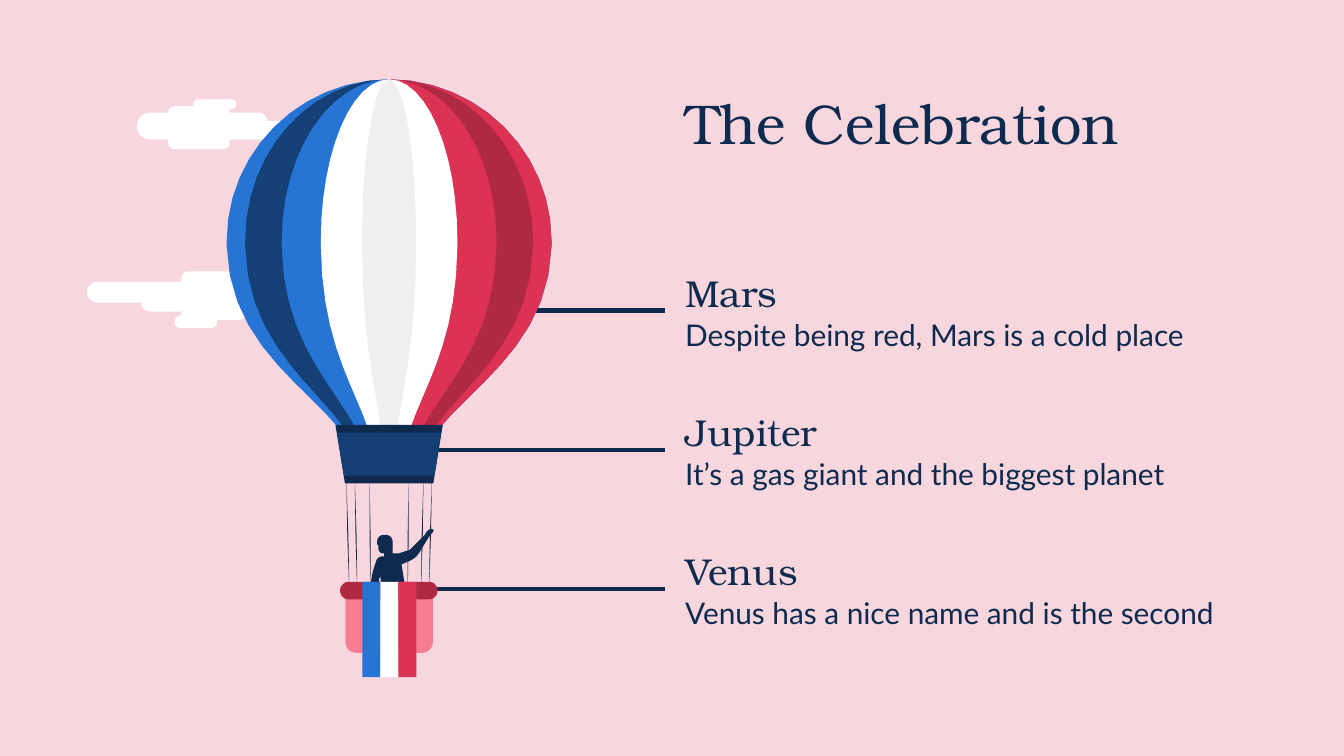
"""Build a slide with a hot-air balloon and three planets."""
import math

import lxml.etree
import pptx
import pptx.dml.color
import pptx.enum.shapes
import pptx.enum.text
import pptx.oxml.ns
import pptx.util

Cm = pptx.util.Cm
HUES = {
    "pink": "F7D6DD", "ink": "0E2B4F", "navy": "154075", "blue": "2674D4",
    "white": "FFFFFF", "grey": "EFEFEF", "red": "DC3354", "wine": "B02943",
    "rose": "F77C94",
}
SERIF, SANS = "TeX Gyre Bonum", "Lato"
AXIS = 7.355
ROWS = [
    ("Mars", "Despite being red, Mars is a cold place"),
    ("Jupiter", "It’s a gas giant and the biggest planet"),
    ("Venus", "Venus has a nice name and is the second"),
]
CLOUDS = [
    [(3.66, 1.88, .08), (3.66, 2.01, 0), (3.18, 2.01, .12), (3.18, 2.13, 0),
     (2.59, 2.13, .25), (2.59, 2.64, .25), (3.18, 2.64, 0), (3.18, 2.82, .12),
     (4.34, 2.82, .12), (4.34, 2.64, 0), (6.05, 2.64, .17), (6.05, 2.29, .17),
     (5.05, 2.29, 0), (5.05, 2.13, .16), (4.34, 2.13, 0), (4.34, 2.06, 0),
     (4.47, 2.06, .09), (4.47, 1.88, .09)],
    [(3.43, 5.13, .12), (3.43, 5.33, 0), (1.65, 5.33, .19), (1.65, 5.72, .19),
     (2.67, 5.72, 0), (2.67, 5.89, .17), (3.43, 5.89, 0), (3.43, 5.97, 0),
     (3.3, 5.97, .11), (3.3, 6.2, .11), (4.11, 6.2, .11), (4.11, 6.05, 0),
     (4.65, 6.05, .14), (4.65, 5.89, 0), (5.23, 5.89, .27), (5.23, 5.33, .27),
     (4.62, 5.33, 0), (4.62, 5.13, .12)],
]
HAND = [(8.03, 10.11, 0), (8.1, 10, .06), (8.23, 10, .08), (8.1, 10.16, 0)]
BODY = [
    (8.03, 10.11, 0), (7.75, 10.39, 0), (7.54, 10.46, 0), (7.42, 10.46, 0),
    (7.42, 10.16, .14), (7.14, 10.16, .1), (7.16, 10.46, .08), (7.26, 10.46, 0),
    (7.26, 10.52, 0), (7.14, 10.52, .08), (7.04, 10.82, .1), (7.01, 11.02, 0),
    (7.09, 11.2, 0), (7.19, 11.2, 0), (7.16, 10.95, 0), (7.19, 10.9, 0),
    (7.21, 11.1, 0), (7.65, 11.05, 0), (7.59, 10.67, 0), (7.82, 10.57, .08),
    (7.9, 10.49, .05), (8.1, 10.16, 0),
]
HAIR = [(7.13, 10.11, .12), (7.44, 10.11, .15), (7.4, 10.42, .05), (7.13, 10.29, 0)]
GORES = [
    (-3.07, 3.07, "blue"), (0, 3.07, "red"), (-2.72, -2.03, "navy"),
    (2.03, 2.72, "wine"), (-1.29, 1.29, "white"), (-0.51, 0.51, "grey"),
]


def curve(a, b, c, d, steps=12):
    """Return points along a cubic curve."""
    spots = []
    for i in range(steps + 1):
        t = i / steps
        parts = ((1 - t) ** 3, 3 * t * (1 - t) ** 2, 3 * t * t * (1 - t), t ** 3)
        spots.append(tuple(sum(w * p[k] for w, p in zip(parts, (a, b, c, d)))
                           for k in (0, 1)))
    return spots


def toward(a, b, step):
    """Return the point a given step from a toward b."""
    share = step / math.dist(a, b)
    return a[0] + (b[0] - a[0]) * share, a[1] + (b[1] - a[1]) * share


def bend(corners):
    """Return an outline whose corners are rounded by their radii."""
    spots = []
    for i, (x, y, r) in enumerate(corners):
        here, last = (x, y), corners[i - 1][:2]
        after = corners[(i + 1) % len(corners)][:2]
        if r:
            spots += curve(toward(here, last, r), toward(here, last, .45 * r),
                           toward(here, after, .45 * r), toward(here, after, r))
        else:
            spots.append(here)
    return spots


def seam(edge):
    """Return a seam from the crown to the neck, by its widest offset."""
    wide, neck = AXIS + edge, .17 * edge
    crown = curve((AXIS, 1.5), (AXIS + .55 * edge, 1.5), (wide, 2.87), (wide, 4.55))
    skirt = curve((wide, 4.65), (AXIS + .98 * edge, 7.04),
                  (AXIS + 1.14 * neck, 7.65), (AXIS + neck, 9.04))
    return crown + skirt


class Deck:
    """Hold the style and the current slide."""

    def __init__(self):
        """Start a deck with one title-only slide."""
        self.show = pptx.Presentation()
        self.show.slide_width, self.show.slide_height = Cm(25.4), Cm(14.29)
        self.slide = self.show.slides.add_slide(self.show.slide_layouts[5])
        self.shapes = self.slide.shapes
        self.paint(self.slide.background.fill, "pink")

    def hue(self, name):
        """Return a named colour."""
        return pptx.dml.color.RGBColor.from_string(HUES[name])

    def paint(self, fill, name):
        """Make a fill solid."""
        fill.solid()
        fill.fore_color.rgb = self.hue(name)

    def finish(self, shape, name):
        """Give a shape a flat fill."""
        shape.shadow.inherit = False
        shape.line.fill.background()
        self.paint(shape.fill, name)

    def label(self, box, words, top, height, font, size, anchor="TOP"):
        """Place and style a line of text."""
        box.left, box.top, box.width, box.height = Cm(12.7), Cm(top), Cm(10.7), Cm(height)
        frame = box.text_frame
        frame.text, frame.word_wrap = words, True
        frame.auto_size = pptx.enum.text.MSO_AUTO_SIZE.NONE
        frame.vertical_anchor = pptx.enum.text.MSO_ANCHOR[anchor]
        frame.margin_left = frame.margin_right = Cm(.25)
        frame.margin_top = frame.margin_bottom = Cm(.25)
        line = frame.paragraphs[0]
        line.alignment = pptx.enum.text.PP_ALIGN.LEFT
        line.font.name, line.font.size = font, pptx.util.Pt(size)
        line.font.color.rgb = self.hue("ink")

    def title(self, words):
        """Fill the title."""
        self.label(self.shapes.title, words, 1.5, 1.6, SERIF, 30, "MIDDLE")

    def text(self, words, top, height, font, size):
        """Add a text box."""
        box = self.shapes.add_textbox(0, 0, 0, 0)
        self.label(box, words, top, height, font, size)

    def rule(self, y):
        """Add a line that leads to a row."""
        line = self.shapes.add_connector(
            pptx.enum.shapes.MSO_CONNECTOR.STRAIGHT, Cm(7.6), Cm(y), Cm(12.57), Cm(y))
        line.line.color.rgb = self.hue("ink")
        line.line.width = pptx.util.Pt(2.25)
        lxml.etree.SubElement(line._element.spPr, pptx.oxml.ns.qn("a:effectLst"))

    def form(self, spots, name):
        """Add a filled outline."""
        ends = [(Cm(x), Cm(y)) for x, y in spots]
        build = self.shapes.build_freeform(*ends[0], scale=1.0)
        build.add_line_segments(ends[1:], close=True)
        self.finish(build.convert_to_shape(), name)

    def stripe(self, x, name):
        """Add a stripe of the flag."""
        shape = self.shapes.add_shape(
            pptx.enum.shapes.MSO_SHAPE.RECTANGLE, Cm(x), Cm(11), Cm(.34), Cm(1.8))
        self.finish(shape, name)


def main():
    """Draw the slide and save it."""
    deck = Deck()
    deck.title("The Celebration")
    for i, (head, note) in enumerate(ROWS):
        drop = 2.63 * i
        deck.rule(5.87 + drop)
        deck.text(head, 4.85 + drop, 1.42, SERIF, 20)
        deck.text(note, 5.74 + drop, 1.09, SANS, 16)
    for cloud in CLOUDS:
        deck.form(bend(cloud), "white")
    for part in (HAND, BODY):
        deck.form(bend(part), "ink")
    for left, right, name in GORES:
        deck.form(seam(left) + seam(right)[::-1], name)
    for top, foot in ((.81, .75), (.65, .6), (.37, .35)):
        for side in (-1, 1):
            x, end = AXIS + side * top, AXIS + side * foot
            mid = (x + end) / 2
            deck.form([(x, 8.99), (mid + .01, 10.14), (end, 11.28), (mid - .01, 10.14)], "ink")
    deck.form(bend([(6.53, 11.15, 0), (6.53, 12.34, .2), (8.18, 12.34, .2),
                    (8.18, 11.15, 0)]), "rose")
    deck.form(bend([(6.43, 11, .16), (6.43, 11.33, .16), (8.27, 11.33, .16),
                    (8.27, 11, .16)]), "wine")
    deck.form([(6.34, 8.03), (6.52, 9.14), (8.19, 9.14), (8.37, 8.03)], "ink")
    deck.form([(6.37, 8.18), (6.5, 8.99), (8.21, 8.99), (8.34, 8.18)], "navy")
    deck.form(bend(HAIR), "ink")
    for i, name in enumerate(("blue", "white", "red")):
        deck.stripe(6.85 + .34 * i, name)
    deck.show.save("out.pptx")


if __name__ == "__main__":
    main()
